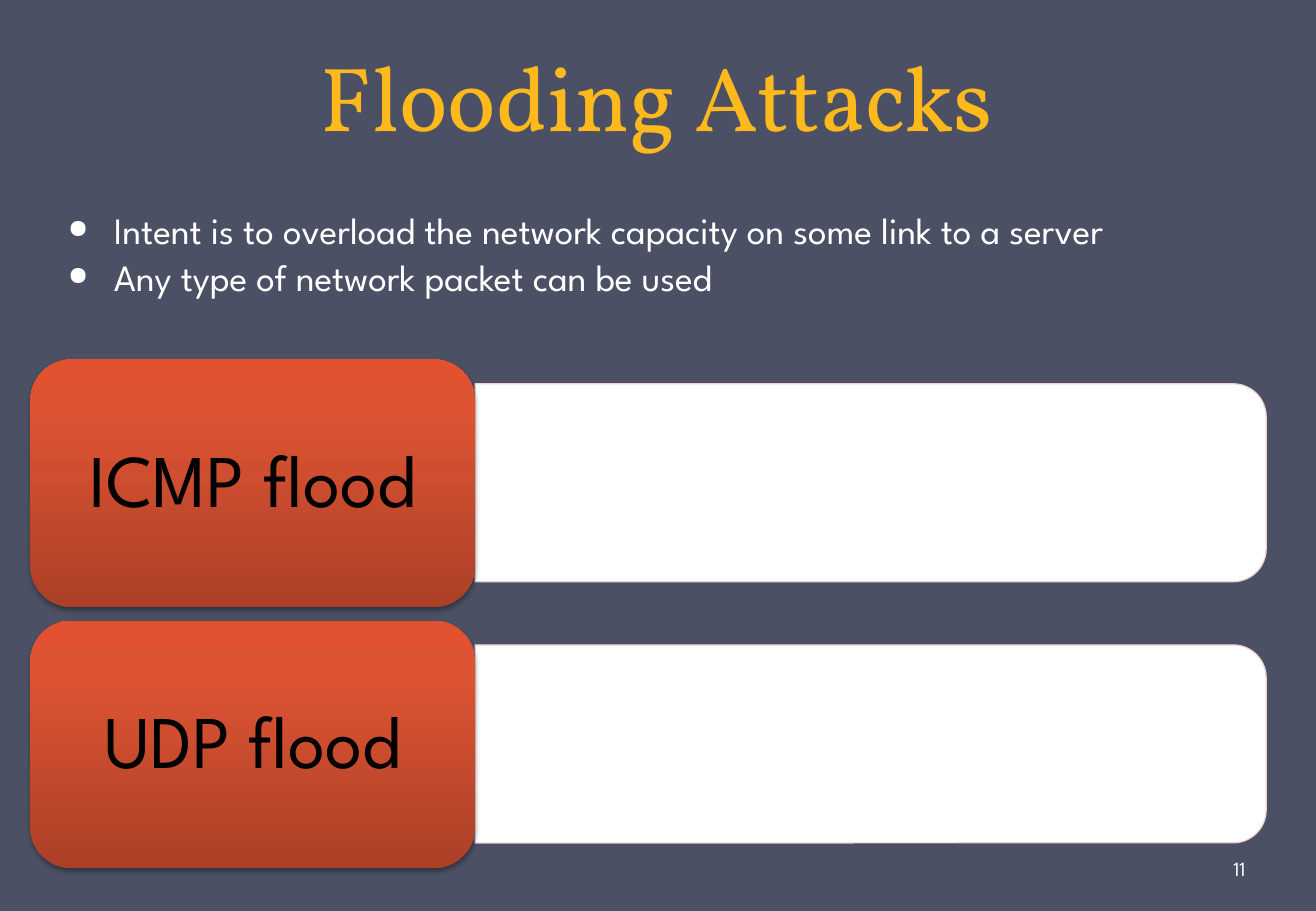
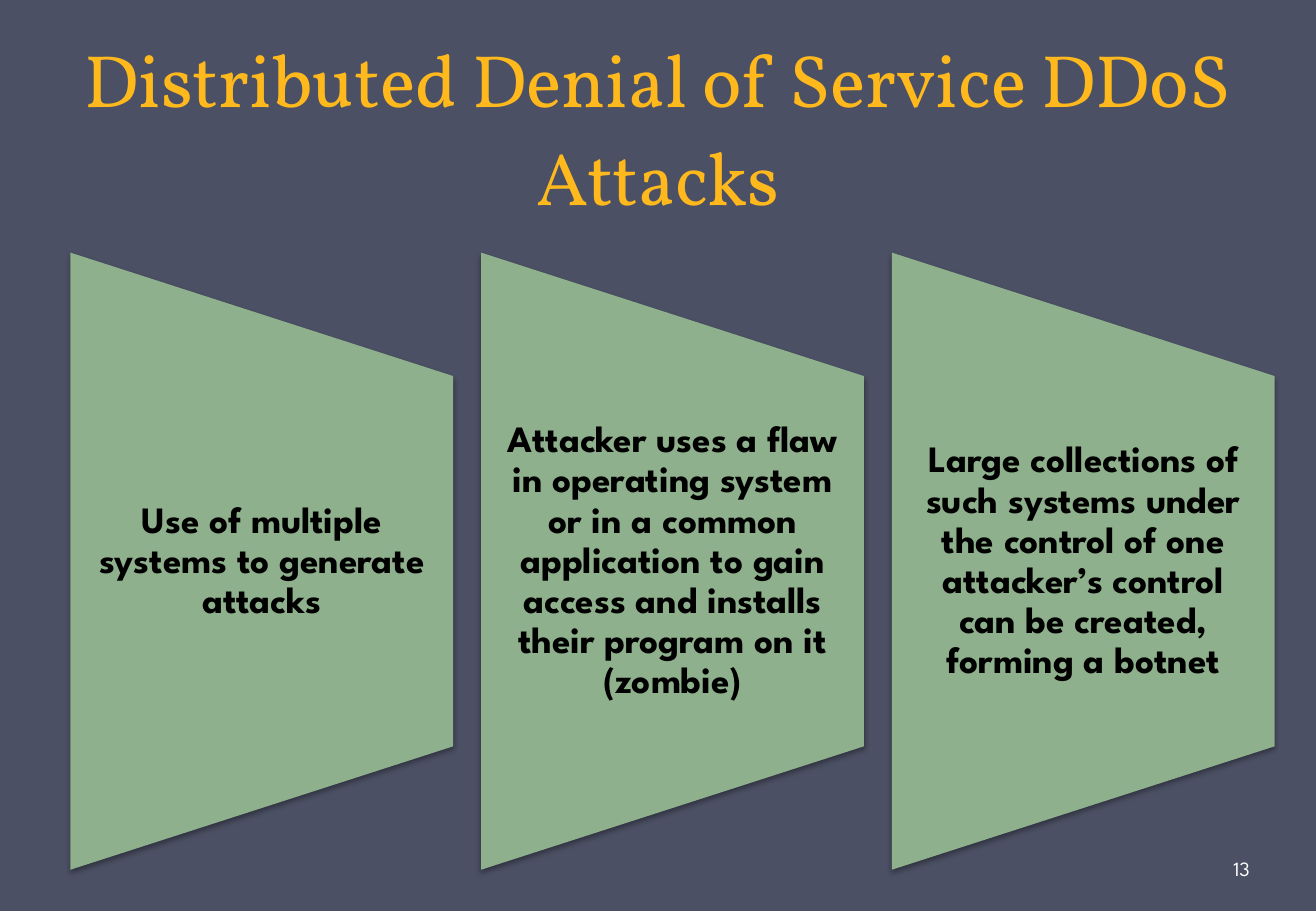
from dataclasses import dataclass
from typing import Any

from lxml import etree
from pptx import Presentation
from pptx import util as u
from pptx.dml.color import RGBColor
from pptx.enum import shapes, text
from pptx.oxml import ns

BACKGROUND, GOLD, WHITE, BLACK = "4B5064", "FFB91D", "FFFFFF", "000000"
GREEN, BAR_LINE = "8FB08C", "EED3D0"
CARD_STOPS = ((0, "AB4027"), (80, "DE5433"), (100, "E35230"))
TITLE_FONT, BODY_FONT = "Vollkorn", "League Spartan"
CENTER = text.PP_ALIGN.CENTER
MIDDLE = text.MSO_ANCHOR.MIDDLE
BULLET_INDENT = 0.38


@dataclass(frozen=True)
class Box:
    left: float
    top: float
    width: float
    height: float

    def lengths(self) -> tuple[int, ...]:
        return tuple(u.Inches(v) for v in (self.left, self.top, self.width, self.height))

    def turned(self) -> "Box":
        """The unrotated frame that covers this box after a quarter turn."""
        shift = (self.width - self.height) / 2
        return Box(self.left + shift, self.top - shift, self.height, self.width)


@dataclass(frozen=True)
class TextStyle:
    size: float
    color: str
    font: str = BODY_FONT
    bold: bool = False
    align: Any = None
    spacing: Any = None
    space_before: float = 0
    bullet: bool = False
    anchor: Any = text.MSO_ANCHOR.TOP
    insets: tuple[float, float, float, float] = (0.1, 0.05, 0.1, 0.05)


BODY = TextStyle(22, WHITE, spacing=0.9, space_before=4, bullet=True)
CARD = TextStyle(44, BLACK, align=CENTER, spacing=0.9, anchor=MIDDLE,
                 insets=(0.18, 0.09, 0.18, 0.09))
PANEL = TextStyle(22, BLACK, bold=True, align=CENTER, spacing=0.9, anchor=MIDDLE,
                  insets=(0.15, 0, 0.15, 0))
NUMBER = TextStyle(12, WHITE, anchor=MIDDLE, insets=(0.03, 0.05, 0.05, 0.05))


def rgb(color: str) -> RGBColor:
    return RGBColor.from_string(color)


def set_all(target: Any, values: dict[str, Any]) -> None:
    for name, value in values.items():
        setattr(target, name, value)


def add_element(parent: Any, tag: str, **attributes: Any) -> Any:
    return etree.SubElement(parent, ns.qn(tag),
                            {key: str(value) for key, value in attributes.items()})


def write(shape: Any, lines: list[str], style: TextStyle) -> None:
    frame = shape.text_frame
    sides = ("margin_left", "margin_top", "margin_right", "margin_bottom")
    set_all(frame, {"word_wrap": True, "vertical_anchor": style.anchor,
                    **dict(zip(sides, map(u.Inches, style.insets)))})
    for index, line in enumerate(lines):
        paragraph = frame.add_paragraph() if index else frame.paragraphs[0]
        paragraph.text = line
        if style.bullet:
            properties = paragraph._p.get_or_add_pPr()
            indent = u.Inches(BULLET_INDENT)
            properties.set("marL", str(indent))
            properties.set("indent", str(-indent))
            add_element(properties, "a:buSzPct", val=70000)
            add_element(properties, "a:buChar", char="●")
        set_all(paragraph, {"alignment": style.align, "line_spacing": style.spacing,
                            "space_before": u.Pt(style.space_before if index else 0)})
        set_all(paragraph.font, {"name": style.font, "size": u.Pt(style.size),
                                 "bold": style.bold})
        paragraph.font.color.rgb = rgb(style.color)


def add_text(slide: Any, box: Box, lines: list[str], style: TextStyle) -> None:
    write(slide.shapes.add_textbox(*box.lengths()), lines, style)


def add_shape(slide: Any, kind: Any, box: Box, fill: str, rotation: float = 0) -> Any:
    frame = box.turned() if rotation else box
    shape = slide.shapes.add_shape(kind, *frame.lengths())
    shape.rotation = rotation
    shape.shadow.inherit = False
    shape.fill.solid()
    shape.fill.fore_color.rgb = rgb(fill)
    shape.line.fill.background()
    return shape


def add_shadow(shape: Any) -> None:
    effects = shape._element.spPr.find(ns.qn("a:effectLst"))
    shadow = add_element(effects, "a:outerShdw", blurRad=u.Pt(3.1), dist=u.Pt(1.8),
                         dir=90 * 60000, rotWithShape=0)
    color = add_element(shadow, "a:srgbClr", val=BLACK)
    add_element(color, "a:alpha", val=35000)


def set_card_gradient(shape: Any) -> None:
    shape.fill.gradient()
    shape.fill.gradient_angle = 90
    stops = shape._element.spPr.find(ns.qn("a:gradFill")).find(ns.qn("a:gsLst"))
    for stop in list(stops):
        stops.remove(stop)
    for position, color in CARD_STOPS:
        stop = add_element(stops, "a:gs", pos=position * 1000)
        add_element(stop, "a:srgbClr", val=color)


def add_slide(presentation: Any, title: str, title_box: Box, title_size: float) -> Any:
    slide = presentation.slides.add_slide(presentation.slide_layouts[6])
    slide.background.fill.solid()
    slide.background.fill.fore_color.rgb = rgb(BACKGROUND)
    style = TextStyle(title_size, GOLD, TITLE_FONT, align=CENTER, spacing=u.Pt(58),
                      anchor=text.MSO_ANCHOR.BOTTOM)
    add_text(slide, title_box, [title], style)
    return slide


def add_number(slide: Any, number: int) -> None:
    add_text(slide, Box(10.12, 6.95, 0.67, 0.4), [str(number)], NUMBER)


def add_flood_row(slide: Any, label: str, top: float) -> None:
    card_box = Box(0.25, top, 3.66, 2.04)
    bar_box = Box(card_box.left + card_box.width, top + 0.2, 6.51, 1.63)
    bar = add_shape(slide, shapes.MSO_SHAPE.ROUND_2_SAME_RECTANGLE, bar_box, WHITE, 90)
    bar.line.color.rgb = rgb(BAR_LINE)
    bar.line.width = u.Pt(0.75)
    card = add_shape(slide, shapes.MSO_SHAPE.ROUNDED_RECTANGLE, card_box, GREEN)
    set_card_gradient(card)
    add_shadow(card)
    write(card, [label], CARD)


def add_panel(slide: Any, label: str, left: float) -> None:
    box = Box(left, 2.08, 3.15, 5.08)
    panel = add_shape(slide, shapes.MSO_SHAPE.FLOWCHART_MANUAL_OPERATION, box, GREEN, 270)
    add_shadow(panel)
    inner_height = box.height * 0.6
    inner_top = box.top + (box.height - inner_height) / 2
    add_text(slide, Box(left, inner_top, box.width, inner_height), [label], PANEL)


def build_flooding(presentation: Any) -> None:
    slide = add_slide(presentation, "Flooding Attacks", Box(0.53, 0.13, 9.75, 1.15), 54)
    add_text(slide, Box(0.46, 1.7, 10.17, 5.33), [
        "Intent is to overload the network capacity on some link to a server",
        "Any type of network packet can be used",
    ], BODY)
    for row, label in enumerate(("ICMP flood", "UDP flood")):
        add_flood_row(slide, label, 2.96 + 2.15 * row)
    add_number(slide, 11)


def build_distributed(presentation: Any) -> None:
    slide = add_slide(presentation, "Distributed Denial of Service DDoS Attacks",
                      Box(0, 0.13, 10.83, 1.73), 44)
    labels = (
        "Use of multiple systems to generate attacks",
        "Attacker uses a flaw in operating system or in a common application "
        "to gain access and installs their program on it (zombie)",
        "Large collections of such systems under the control of one "
        "attacker’s control can be created, forming a botnet",
    )
    for column, label in enumerate(labels):
        add_panel(slide, label, 0.58 + 3.38 * column)
    add_number(slide, 13)


def main() -> None:
    presentation = Presentation()
    presentation.slide_width = u.Inches(10.83)
    presentation.slide_height = u.Inches(7.5)
    build_flooding(presentation)
    build_distributed(presentation)
    presentation.save("out.pptx")


if __name__ == "__main__":
    main()
